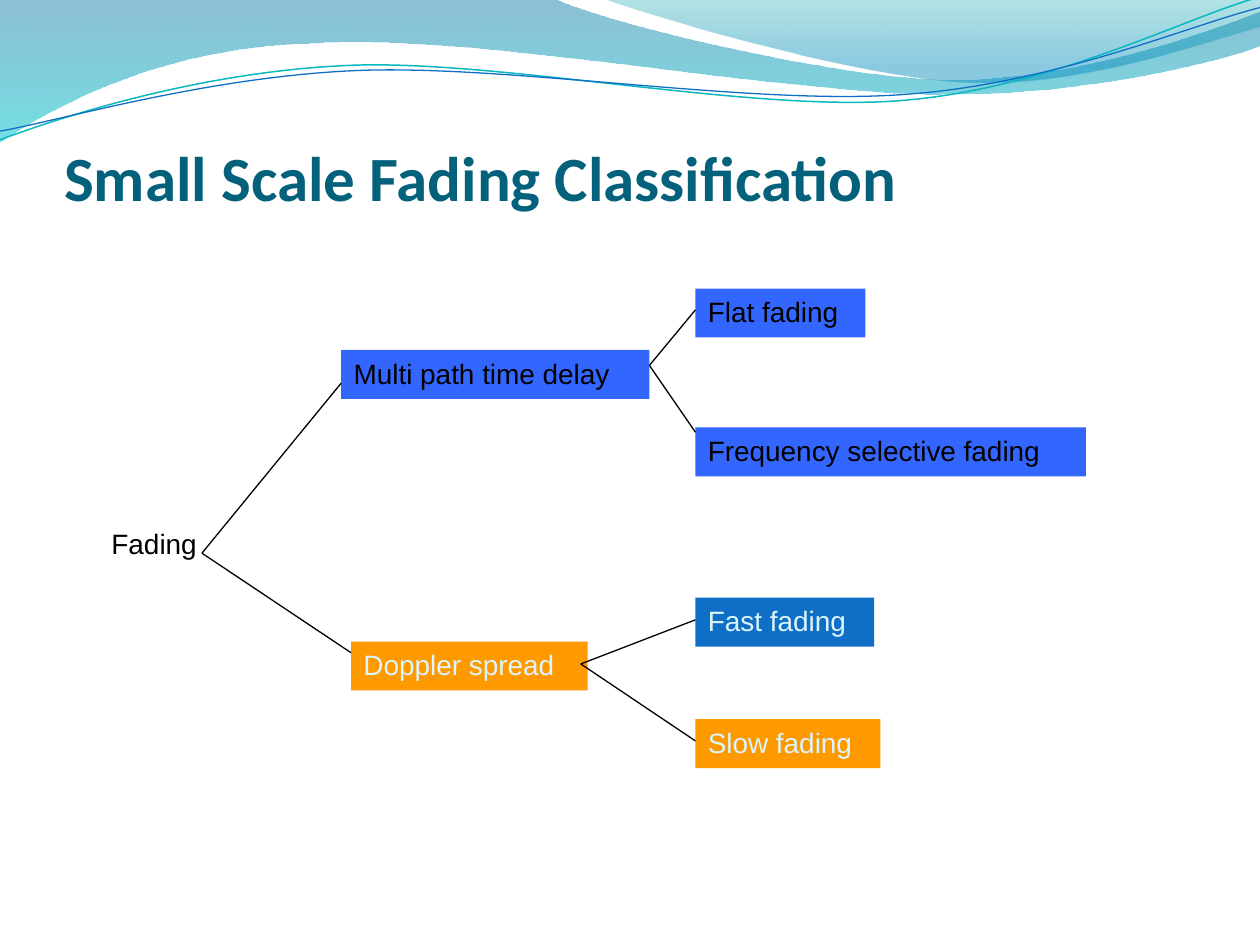
from lxml import etree
from pptx import Presentation
from pptx.dml.color import RGBColor
from pptx.enum.shapes import MSO_CONNECTOR as CONN, MSO_SHAPE as SHAPE
from pptx.enum.text import MSO_ANCHOR as ANCHOR, PP_ALIGN as ALIGN
from pptx.oxml.ns import qn
from pptx.util import Pt

BLACK, PALE = "000000", "DBF5F9"
BLUE, ORANGE, DEEP_BLUE = "3366FF", "FF9900", "0F6FC6"
BOX_H = 28
LEAF_X = 397.4

# Wave outlines: each step is an end point (line) or three points (Bezier curve)
BROAD_WAVE = [
    (0, 0), (316.8, -0.7),
    (342.7, 12.2, 478.1, 45.4, 545.8, 45.4), (614.2, 45.4, 689.8, 18.7, 720, 6.5),
    (720.7, 25.9),
    (707.8, 31.7, 626.4, 54.7, 537.1, 54), (447.8, 54, 275, 20.2, 185, 24.5),
    (92.9, 25.9, 33.1, 59.8, -0.7, 81.4)]
RIGHT_WAVE = [
    (344.9, -0.7), (366.5, 7.9, 491, 44.6, 553.7, 46.8),
    (616.3, 49.7, 691.9, 23, 720, 15.1), (720, 0)]
TEAL_LINE = [
    (0, 79.9), (34.6, 67, 113.8, 41, 199.4, 37.4),
    (284.4, 33.8, 427, 64.1, 513.4, 57.6), (599.8, 51.1, 675.4, 10.8, 718.6, -1.4)]
BLUE_LINE = [
    (0, 74.9), (33.8, 69.1, 118.1, 43.9, 203.8, 40.3),
    (290.2, 36.7, 429.8, 60.5, 516.2, 54), (601.9, 48.2, 677.5, 15.1, 720, 4.3)]

# Boxes of the tree: text, left, top, width, fill, text colour
BOXES = [
    ("Fading", 56.6, 297.4, 69.8, None, BLACK),
    ("Multi path time delay", 195, 200, 176.2, BLUE, BLACK),
    ("Flat fading", LEAF_X, 164.9, 97.2, BLUE, BLACK),
    ("Frequency selective fading", LEAF_X, 244.3, 223.2, BLUE, BLACK),
    ("Doppler spread", 200.6, 366.6, 135.2, ORANGE, PALE),
    ("Fast fading", LEAF_X, 341.5, 102.2, DEEP_BLUE, PALE),
    ("Slow fading", LEAF_X, 410.9, 105.8, ORANGE, PALE)]

# Forks of the tree: start point and the two end points
FORKS = [
    ((115.4, 316.1), [(195, 218.9), (200.6, 373)]),
    ((371.1, 208.8), [(LEAF_X, 177.1), (LEAF_X, 247)]),
    ((331.9, 379.4), [(LEAF_X, 354.2), (LEAF_X, 423.4)])]


def rgb(value):
    return RGBColor.from_string(value)


def put_text(sp, text, size=16, font="Arial", color=BLACK, bold=False,
             anchor=ANCHOR.TOP, insets=(7.2, 3.6, 7.2, 3.6)):
    tf = sp.text_frame
    tf.word_wrap = True
    tf.vertical_anchor = anchor
    tf.margin_left, tf.margin_top, tf.margin_right, tf.margin_bottom = map(Pt, insets)
    p = tf.paragraphs[0]
    p.alignment = ALIGN.LEFT
    r = p.add_run()
    r.text = text
    r.font.size, r.font.name, r.font.bold = Pt(size), font, bold
    r.font.color.rgb = rgb(color)


def add_outline(s, steps, close):
    """Freeform through the end points, with its curved steps made Bezier curves."""
    start, *ends = [(Pt(step[-2]), Pt(step[-1])) for step in steps]
    builder = s.shapes.build_freeform(*start)
    builder.add_line_segments(ends, close=close)
    sp = builder.convert_to_shape()
    sp.shadow.inherit = False
    segments = list(sp.element.iter(qn("a:lnTo")))
    for segment, step in zip(segments, steps[1:]):
        if len(step) == 6:
            curve = etree.Element(qn("a:cubicBezTo"))
            for x, y in zip(step[::2], step[1::2]):
                etree.SubElement(curve, qn("a:pt"), x=str(Pt(x) - sp.left),
                                 y=str(Pt(y) - sp.top))
            segment.getparent().replace(segment, curve)
    return sp


def add_wave(s, steps, stops):
    """Closed wave; stops are (position, colour, opacity in percent)."""
    sp = add_outline(s, steps, True)
    sp.line.fill.background()
    sp.fill.gradient()
    sp.fill.gradient_angle = 270
    for stop, (position, color, _) in zip(sp.fill.gradient_stops, stops):
        stop.position = position
        stop.color.rgb = rgb(color)
    for clr, (_, _, opacity) in zip(sp.element.spPr.iter(qn("a:srgbClr")), stops):
        etree.SubElement(clr, qn("a:alpha"), val=str(opacity * 1000))


def add_wave_line(s, steps, color, width):
    sp = add_outline(s, steps, False)
    sp.fill.background()
    sp.line.color.rgb = rgb(color)
    sp.line.width = Pt(width)


def add_box(s, text, x, y, w, fill, color):
    area = Pt(x), Pt(y), Pt(w), Pt(BOX_H)
    if fill:
        sp = s.shapes.add_shape(SHAPE.RECTANGLE, *area)
        sp.shadow.inherit = False
        sp.fill.solid()
        sp.fill.fore_color.rgb = rgb(fill)
        sp.line.fill.background()
    else:
        sp = s.shapes.add_textbox(*area)
    put_text(sp, text, color=color)


def add_branch(s, start, end):
    line = s.shapes.add_connector(CONN.STRAIGHT, *map(Pt, start + end))
    line.line.color.rgb = rgb(BLACK)
    line.line.width = Pt(0.75)
    etree.SubElement(line.element.spPr, qn("a:effectLst"))


def main():
    prs = Presentation()
    prs.slide_width, prs.slide_height = Pt(720), Pt(540)
    s = prs.slides.add_slide(prs.slide_layouts[5])

    # Header waves
    add_wave(s, BROAD_WAVE, [(0, "0074A1", 45), (1, "00C6CF", 55)])
    add_wave(s, RIGHT_WAVE, [(0, "00A1A9", 30), (0.8, "008BBF", 45)])
    add_wave_line(s, TEAL_LINE, "0AB8BF", 0.85)
    add_wave_line(s, BLUE_LINE, DEEP_BLUE, 0.75)

    # Title
    title = s.shapes.title
    title.left, title.top, title.width, title.height = map(Pt, (36.7, 66.2, 653.8, 56.2))
    put_text(title, "Small Scale Fading Classification", size=36, font="Calibri",
             color="04617B", bold=True, anchor=ANCHOR.BOTTOM, insets=(0, 3.6, 0, 0))

    # Classification tree
    for box in BOXES:
        add_box(s, *box)
    for start, ends in FORKS:
        for end in ends:
            add_branch(s, start, end)

    prs.save("out.pptx")


if __name__ == "__main__":
    main()
